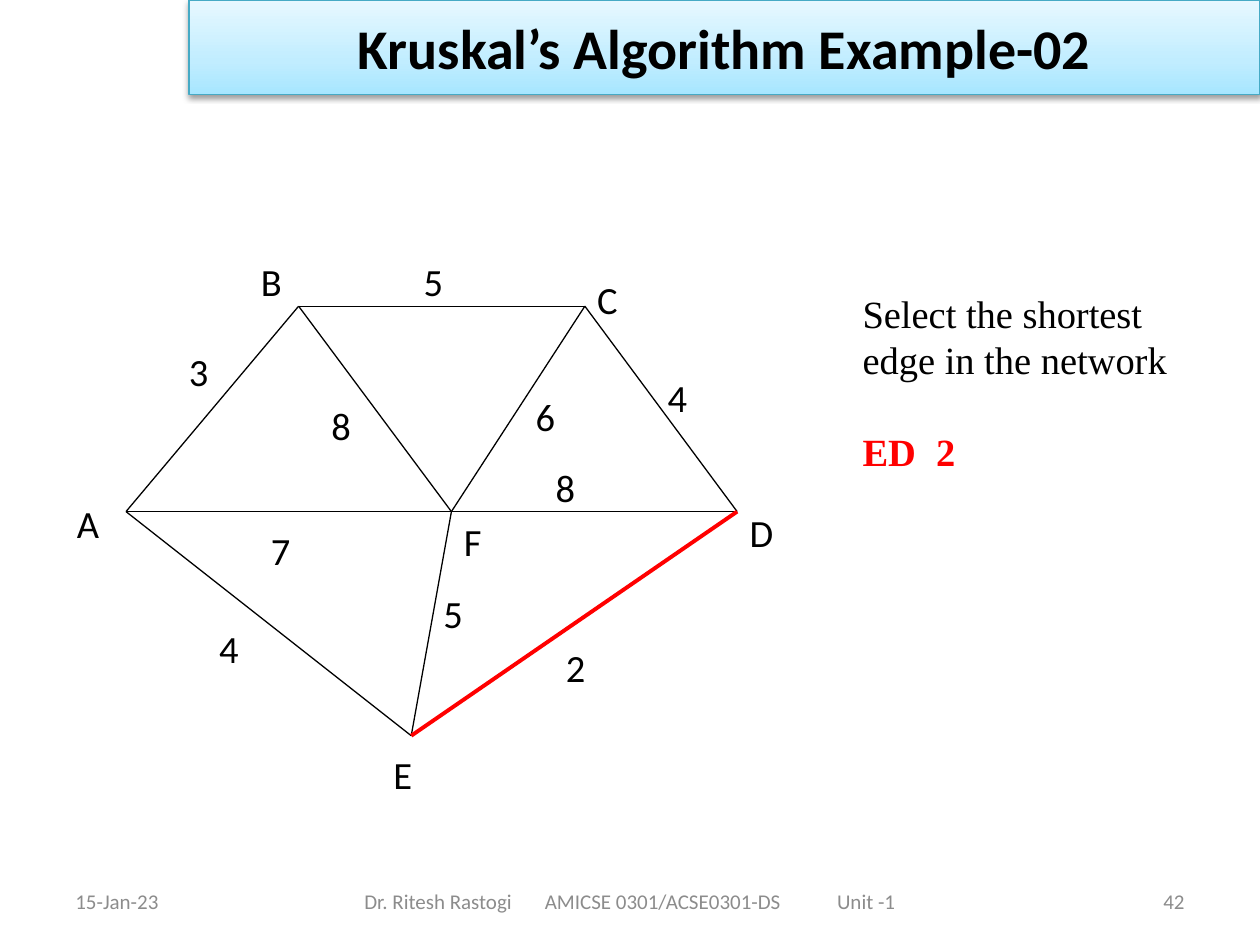
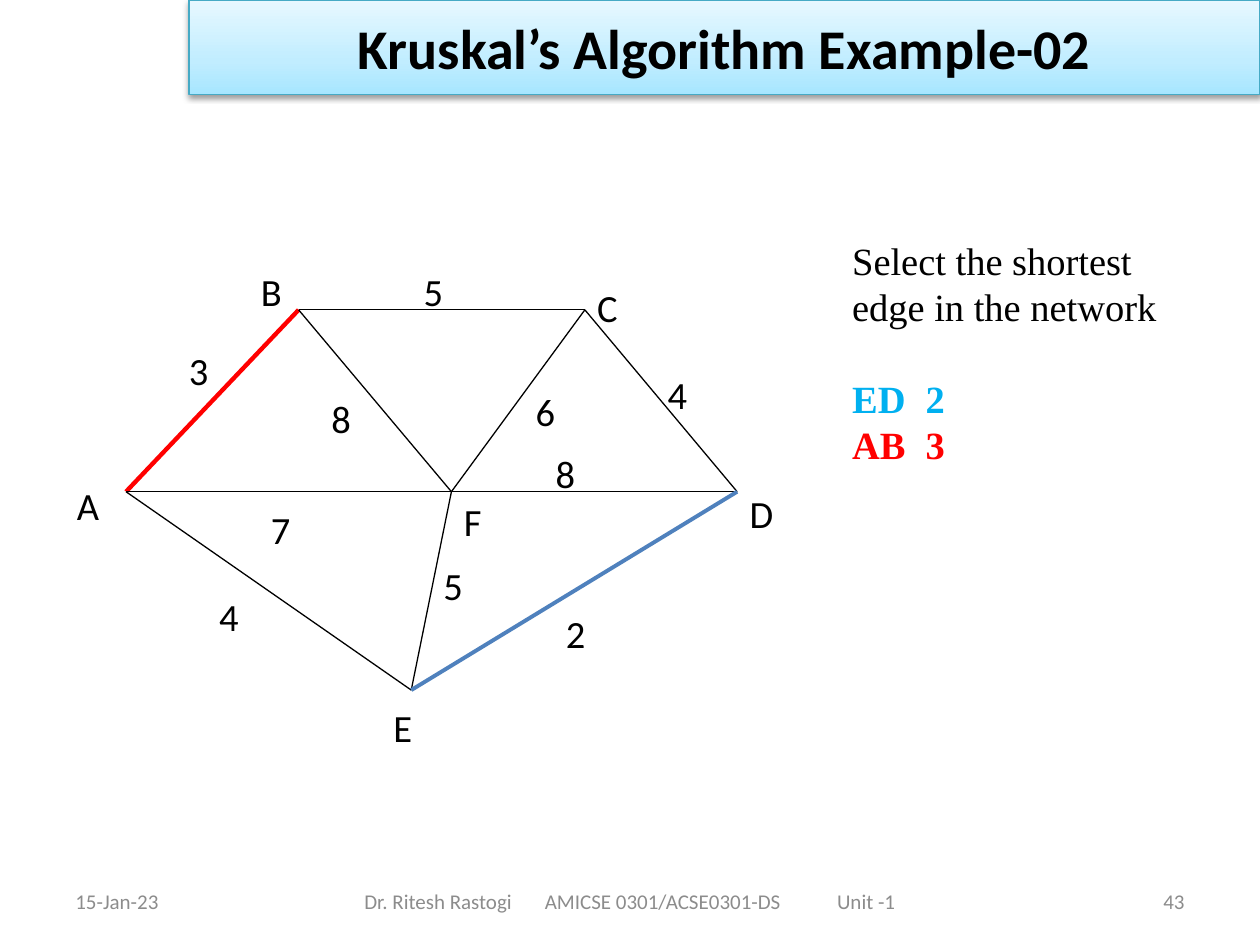
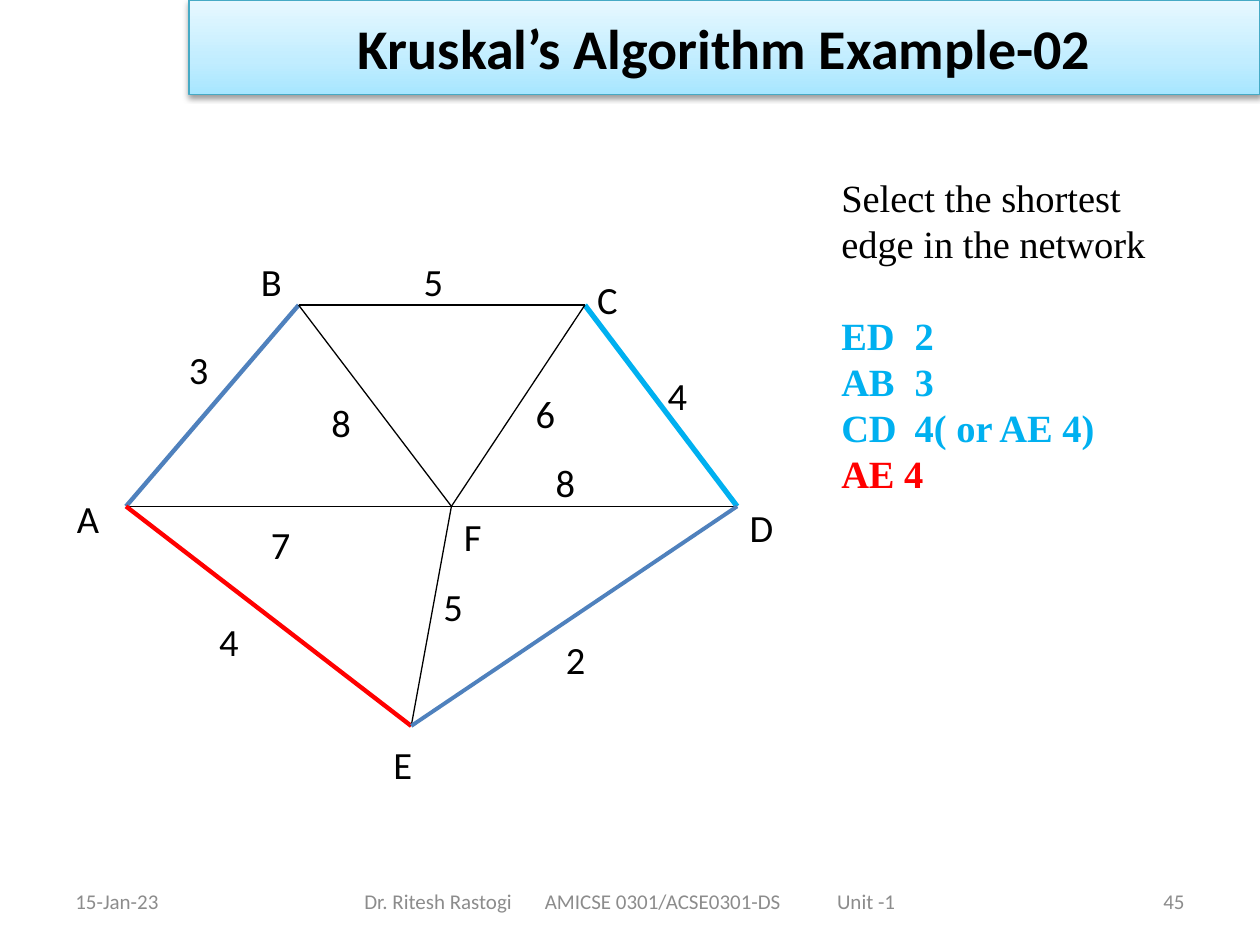
import pptx
import pptx.dml.color
import pptx.enum.shapes
import pptx.enum.text
import pptx.oxml
import pptx.oxml.ns
import pptx.util

Cm, Pt = pptx.util.Cm, pptx.util.Pt
ALIGN = pptx.enum.text.PP_ALIGN
MIDDLE = pptx.enum.text.MSO_ANCHOR.MIDDLE
NS = pptx.oxml.ns.nsdecls("a")

INK = {
    "text": "000000", "foot": "8C8C8C", "rim": "46AAC5",
    "low": "A7E6FF", "mid": "C1EDFF", "high": "E7F8FF",
    "new": "FF0000", "done": "4F81BD", "sky": "00B0F0",
}
SANS, SERIF = "Calibri", "Times New Roman"

# Graph layout: x in cm from the box's left, y in percent of the box's height
NODES = {"A": (1.24, 52.7), "B": (4.72, 11), "C": (10.49, 11),
         "D": (13.56, 52.7), "E": (6.99, 98.2), "F": (7.8, 52.7)}
NAMES = {"A": (0, 49.1), "F": (7.8, 52.7), "B": (3.71, 0),
         "C": (10.49, 3.6), "D": (13.56, 50.9), "E": (6.38, 100)}
EDGES = {  # weight and the place of its label
    "AB": ("3", 2.26, 18.2), "BC": ("5", 6.99, 0), "CD": ("4", 11.91, 23.6),
    "AF": ("7", 3.91, 54.5), "FD": ("8", 9.65, 41.7), "BF": ("8", 5.13, 29.1),
    "FC": ("6", 9.25, 27.4), "AE": ("4", 2.87, 74.5), "EF": ("5", 7.39, 67.3),
    "ED": ("2", 9.86, 78.3),
}

# Per slide: page, graph top and height, marked edges, note box, note rows
STEPS = [
    ("42", 5.08, 9.93, {"ED": ("new", 2.25)},
     (17.14, 5.72, 7.82, 5.74), [("ED\t2", "new")]),
    ("43", 5.28, 8.79, {"AB": ("new", 2.5), "ED": ("done", 2.25)},
     (16.93, 4.65, 7.82, 6.76), [("ED\t2", "sky"), ("AB\t3", "new")]),
    ("45", 5.08, 9.73, {"AB": ("done", 2.5), "CD": ("sky", 3),
                        "AE": ("new", 2.5), "ED": ("done", 2.25)},
     (16.71, 3.39, 8.05, 8.64),
     [("ED\t2", "sky"), ("AB\t3", "sky"), ("CD\t4( or AE 4)", "sky"),
      ("AE 4", "new")]),
]


def tint(name):
    return pptx.dml.color.RGBColor.from_string(INK[name])


def write(para, text, size, ink="text", face=SANS, bold=False):
    run = para.add_run()
    run.text = text
    font = run.font
    font.size, font.name, font.bold = Pt(size), face, bold
    font.color.rgb = tint(ink)


def frame(shapes, box):
    area = shapes.add_textbox(*map(Cm, box)).text_frame
    area.word_wrap = True
    return area


def stops(para, *spots):
    """Add left tab stops, given in cm."""
    tabs = "".join(f'<a:tab pos="{Cm(spot)}" algn="l"/>' for spot in spots)
    para._p.get_or_add_pPr().append(
        pptx.oxml.parse_xml(f"<a:tabLst {NS}>{tabs}</a:tabLst>"))


def banner(slide, box):
    band = slide.shapes.add_shape(
        pptx.enum.shapes.MSO_SHAPE.RECTANGLE, *map(Cm, box))
    # Gradient rising from the bottom edge
    marks = "".join(
        f'<a:gs pos="{spot * 1000}"><a:srgbClr val="{INK[name]}"/></a:gs>'
        for spot, name in ((0, "low"), (35, "mid"), (100, "high")))
    band._element.spPr.insert(2, pptx.oxml.parse_xml(
        f'<a:gradFill {NS} rotWithShape="1"><a:gsLst>{marks}</a:gsLst>'
        '<a:lin ang="16200000" scaled="0"/></a:gradFill>'))
    band.line.color.rgb = tint("rim")
    band.line.width = Pt(0.75)
    # Soft shadow below
    band._element.spPr.append(pptx.oxml.parse_xml(
        f'<a:effectLst {NS}><a:outerShdw blurRad="40000" dist="20000" '
        'dir="5400000" rotWithShape="0"><a:srgbClr val="000000">'
        '<a:alpha val="38000"/></a:srgbClr></a:outerShdw></a:effectLst>'))
    band.text_frame.vertical_anchor = MIDDLE
    para = band.text_frame.paragraphs[0]
    para.alignment = ALIGN.CENTER
    write(para, "Kruskal’s Algorithm Example-02", 32, bold=True)


def footer(slide, box, page):
    left, top, width, height = box
    side, inner = 5.93, 13.97
    parts = [
        (left, side, "15-Jan-23", ALIGN.LEFT),
        (left + (width - inner) / 2, inner,
         "Dr. Ritesh Rastogi\tAMICSE 0301/ACSE0301-DS\tUnit -1", ALIGN.LEFT),
        (left + width - side, side, page, ALIGN.RIGHT),
    ]
    for x, span, text, align in parts:
        area = frame(slide.shapes, (x, top, span, height))
        area.vertical_anchor = MIDDLE
        para = area.paragraphs[0]
        para.alignment = align
        if "\t" in text:
            area.margin_left = Cm(1.63)
            stops(para, 3.64, 9.53)
        write(para, text, 12, "foot")


def graph(slide, box, marked):
    left, top, height = box
    group = slide.shapes.add_group_shape().shapes

    def place(x, y):
        return left + x, top + height * y / 100

    # Edges
    for edge in EDGES:
        ends = [Cm(v) for node in edge for v in place(*NODES[node])]
        link = group.add_connector(
            pptx.enum.shapes.MSO_CONNECTOR.STRAIGHT, *ends)
        ink, width = marked.get(edge, ("text", 0.75))
        link.line.color.rgb = tint(ink)
        link.line.width = Pt(width)
        link._element.spPr.append(
            pptx.oxml.parse_xml(f"<a:effectLst {NS}/>"))
    # Node names, then weights
    labels = [(name, *spot) for name, spot in NAMES.items()]
    for text, x, y in labels + list(EDGES.values()):
        area = frame(group, (*place(x, y), 1.24, 1.19))
        write(area.paragraphs[0], text, 22)


def notes(slide, box, rows):
    area = frame(slide.shapes, box)
    lead = [("Select the shortest", "text"), ("edge in the network", "text")]
    for i, (text, ink) in enumerate(lead + rows):
        para = area.add_paragraph() if i else area.paragraphs[0]
        para.line_spacing = Pt(26.3)
        if i == len(lead):
            para.space_before = Pt(26.3)
        if "\t" in text:
            stops(para, 1.48)
        write(para, text, 22, ink, SERIF, bold=i >= len(lead))


def main():
    deck = pptx.Presentation()
    deck.slide_width, deck.slide_height = Cm(25.4), Cm(19.05)
    for page, top, height, marked, box, rows in STEPS:
        slide = deck.slides.add_slide(deck.slide_layouts[6])
        footer(slide, (1.27, 17.65, 22.86, 1.02), page)
        banner(slide, (3.81, 0, 21.59, 1.9))
        graph(slide, (1.3, top, height), marked)
        notes(slide, box, rows)
    deck.save("out.pptx")


if __name__ == "__main__":
    main()
